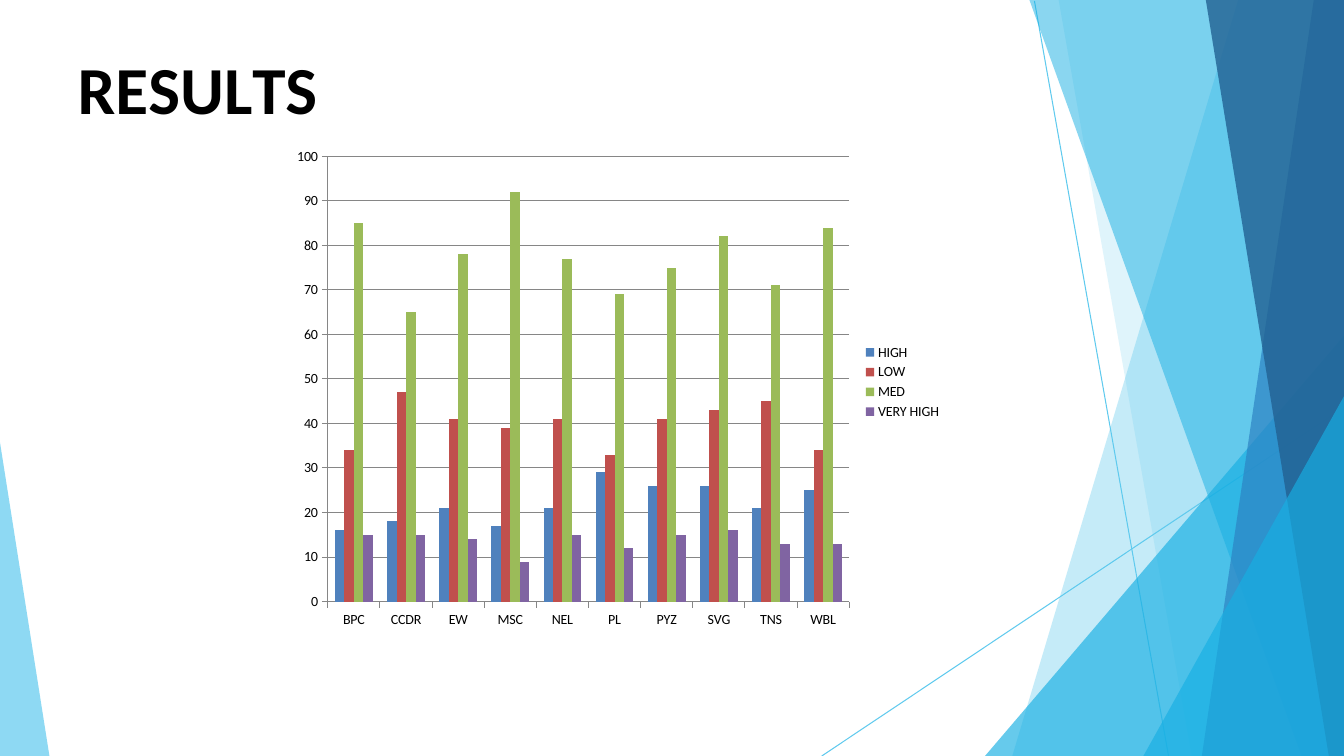
from lxml.etree import SubElement
from pptx import Presentation
from pptx.chart.data import CategoryChartData
from pptx.dml.color import RGBColor
from pptx.enum.chart import XL_CHART_TYPE as ChartType, XL_LEGEND_POSITION as LegendPosition, XL_TICK_MARK as Tick
from pptx.enum.shapes import MSO_CONNECTOR as Connector
from pptx.enum.text import MSO_ANCHOR as Anchor, PP_ALIGN as Align
from pptx.oxml import parse_xml
from pptx.oxml.ns import nsdecls, qn
from pptx.util import Inches, Pt

SKY = RGBColor(0x5F, 0xCA, 0xEE)
CYAN = RGBColor(0x17, 0xAF, 0xE3)
BLUE = RGBColor(0x2D, 0x83, 0xC3)
NAVY = RGBColor(0x22, 0x61, 0x92)
BLACK = RGBColor(0, 0, 0)
GRAY = RGBColor(0x86, 0x86, 0x86)
FONT = "Calibri"
WIDTH, HEIGHT = 13.33, 7.5

HEADING = [("R", 0), ("E", -40), ("S", 10), ("U", -30), ("L", -400), ("TS", 0)]
HEADING_FORMAT = {"name": FONT, "size": Pt(48), "bold": True}
CHART_FORMAT = {"name": FONT, "size": Pt(10), "bold": False}

RAYS = [((10.26, 0.01), (11.59, HEIGHT)), ((WIDTH, 4.04), (8.15, HEIGHT))]
FACETS = [
    (WIDTH, (12.28, 0), 10.04, SKY, 36),
    (WIDTH, (10.5, 0), 11.82, SKY, 20),
    (WIDTH, (WIDTH, 3.33), 9.77, CYAN, 66),
    (WIDTH, (10.21, 0), 12.91, CYAN, 50),
    (WIDTH, (13.03, 0), 11.92, BLUE, 70),
    (WIDTH, (11.96, 0), 13.18, NAVY, 80),
    (WIDTH, (WIDTH, 3.93), 11.34, CYAN, 66),
    (0, (0, 4.39), 0.49, SKY, 70),
]

STATIONS = ["BPC", "CCDR", "EW", "MSC", "NEL", "PL", "PYZ", "SVG", "TNS", "WBL"]
RATINGS = [
    ("HIGH", (16, 18, 21, 17, 21, 29, 26, 26, 21, 25), RGBColor(0x4F, 0x81, 0xBD)),
    ("LOW", (34, 47, 41, 39, 41, 33, 41, 43, 45, 34), RGBColor(0xC0, 0x50, 0x4D)),
    ("MED", (85, 65, 78, 92, 77, 69, 75, 82, 71, 84), RGBColor(0x9B, 0xBB, 0x59)),
    ("VERY HIGH", (15, 15, 14, 9, 15, 12, 15, 16, 13, 13), RGBColor(0x80, 0x64, 0xA2)),
]
PLOT_LAYOUT = {"layoutTarget": "inner", "xMode": "edge", "yMode": "edge",
               "x": 0.075, "y": 0.045, "w": 0.773, "h": 0.898}
VALUE_SCALE = {"minimum_scale": 0, "maximum_scale": 100, "major_unit": 10,
               "has_major_gridlines": True}


def apply_format(target, values):
    for attribute, value in values.items():
        setattr(target, attribute, value)


def add_ray(slide, start, end):
    ray = slide.shapes.add_connector(Connector.STRAIGHT, *map(Inches, start + end))
    ray.line.color.rgb = SKY
    ray.line.width = Pt(0.75)
    SubElement(ray._element.spPr, qn("a:effectLst"))


def add_facet(slide, side, top, bottom_x, color, opacity):
    corners = dict.fromkeys([(side, top[1]), top, (bottom_x, HEIGHT), (side, HEIGHT)])
    first, *others = [(Inches(x), Inches(y)) for x, y in corners]
    outline = slide.shapes.build_freeform(*first)
    outline.add_line_segments(others, close=True)
    facet = outline.convert_to_shape()
    facet.shadow.inherit = False
    facet.line.fill.background()
    facet.fill.solid()
    facet.fill.fore_color.rgb = color
    tint = facet._element.spPr.find(qn("a:solidFill"))[0]
    SubElement(tint, qn("a:alpha"), val=str(opacity * 1000))


def add_heading(slide):
    heading = slide.shapes.title
    apply_format(heading, {"left": Inches(0.67), "top": Inches(0.42),
                           "width": Inches(2.83), "height": Inches(0.91)})
    apply_format(heading.text_frame, {"vertical_anchor": Anchor.TOP, "word_wrap": True})
    line = heading.text_frame.paragraphs[0]
    line.alignment = Align.LEFT
    for letters, spacing in HEADING:
        run = line.add_run()
        run.text = letters
        apply_format(run.font, HEADING_FORMAT)
        run.font.color.rgb = BLACK
        run._r.get_or_add_rPr().set("spc", str(spacing))


def add_results(slide):
    results = CategoryChartData()
    results.categories = STATIONS
    for rating, counts, _ in RATINGS:
        results.add_series(rating, counts)
    chart = slide.shapes.add_chart(
        ChartType.COLUMN_CLUSTERED, Inches(2.75), Inches(1.33),
        Inches(6.69), Inches(4.92), results).chart
    apply_format(chart, {"has_title": False, "has_legend": True})
    apply_format(chart.font, CHART_FORMAT)
    chart.font.color.rgb = BLACK
    apply_format(chart.legend, {"position": LegendPosition.RIGHT, "include_in_layout": False})

    plot = chart.plots[0]
    apply_format(plot, {"gap_width": 150, "overlap": 0, "vary_by_categories": False})
    for series, (_, _, color) in zip(plot.series, RATINGS):
        series.format.fill.solid()
        series.format.fill.fore_color.rgb = color

    apply_format(chart.value_axis, VALUE_SCALE)
    for axis in (chart.category_axis, chart.value_axis):
        axis.major_tick_mark = Tick.OUTSIDE
        axis.minor_tick_mark = Tick.NONE
    for ruled in (chart.category_axis, chart.value_axis, chart.value_axis.major_gridlines):
        ruled.format.line.color.rgb = GRAY
        ruled.format.line.width = Pt(0.75)

    plot_area = chart._chartSpace.chart.plotArea
    for layout in plot_area.findall(qn("c:layout")):
        plot_area.remove(layout)
    settings = "".join(f'<c:{key} val="{value}"/>' for key, value in PLOT_LAYOUT.items())
    plot_area.insert(0, parse_xml(
        f'<c:layout {nsdecls("c")}><c:manualLayout>{settings}</c:manualLayout></c:layout>'))


def main():
    deck = Presentation()
    deck.slide_width, deck.slide_height = Inches(WIDTH), Inches(HEIGHT)
    slide = deck.slides.add_slide(deck.slide_layouts[5])
    for ray in RAYS:
        add_ray(slide, *ray)
    for facet in FACETS:
        add_facet(slide, *facet)
    add_heading(slide)
    add_results(slide)
    deck.save("out.pptx")


if __name__ == "__main__":
    main()
